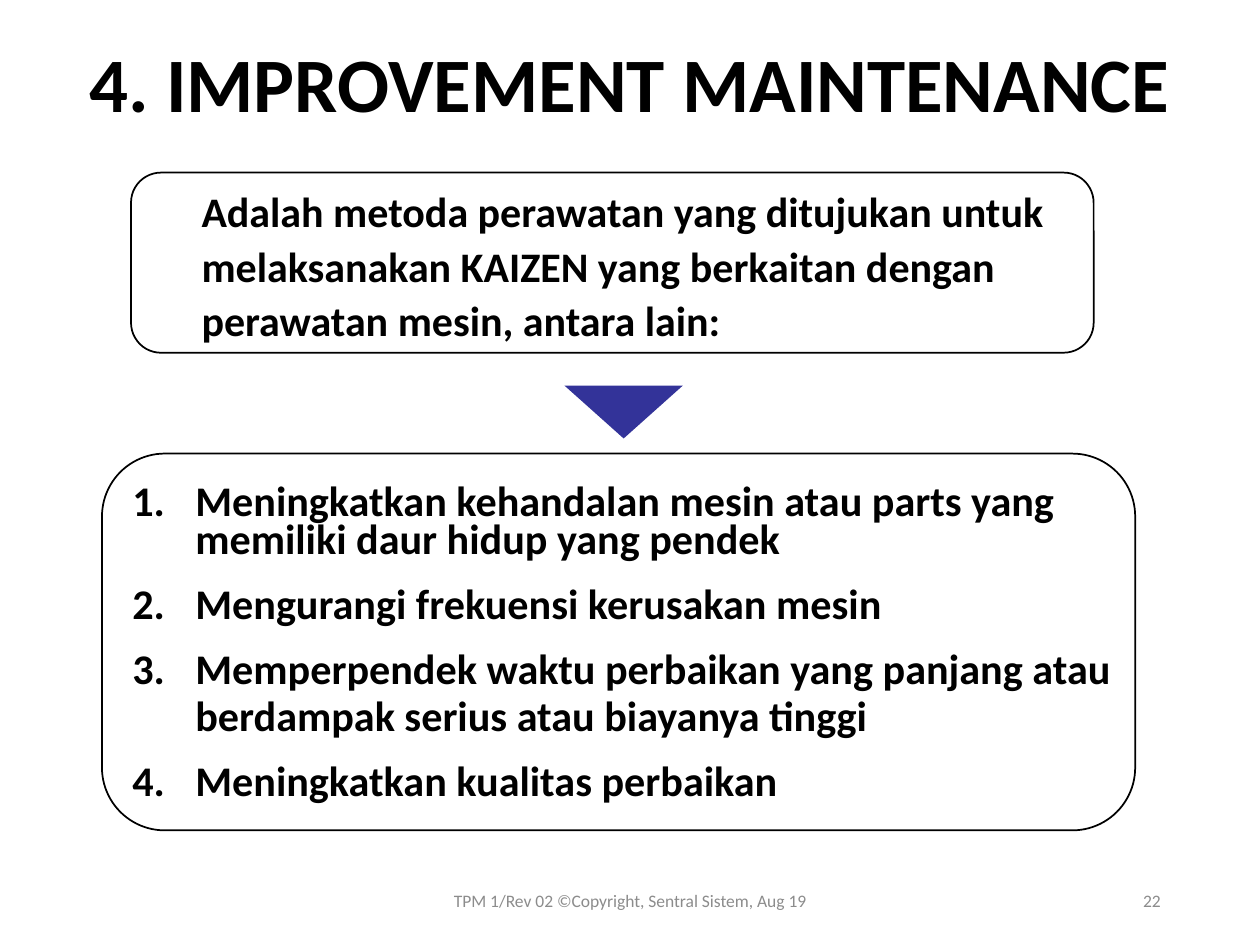
from lxml import etree
from pptx import Presentation
from pptx.dml.color import RGBColor
from pptx.enum.shapes import MSO_SHAPE
from pptx.enum.text import MSO_ANCHOR, MSO_AUTO_SIZE, PP_ALIGN
from pptx.oxml.ns import qn
from pptx.util import Inches, Pt

BLACK = RGBColor(0x00, 0x00, 0x00)
GRAY = RGBColor(0x8C, 0x8C, 0x8C)
NAVY = RGBColor(0x33, 0x33, 0x99)
FONT = "Calibri"
ROUNDED = MSO_SHAPE.ROUNDED_RECTANGLE
TOP, MIDDLE = MSO_ANCHOR.TOP, MSO_ANCHOR.MIDDLE
LEFT, CENTER, RIGHT = PP_ALIGN.LEFT, PP_ALIGN.CENTER, PP_ALIGN.RIGHT
NO_AUTOFIT = MSO_AUTO_SIZE.NONE
TITLE_ONLY = 5

DEFINITION = [
    ("Adalah metoda perawatan yang ditujukan untuk", 22),
    ("melaksanakan KAIZEN yang berkaitan dengan", 31),
    ("perawatan mesin, antara lain:", 31),
]
IMPROVEMENTS = [
    ("Meningkatkan kehandalan mesin atau parts yang memiliki daur hidup yang pendek", 22),
    ("Mengurangi frekuensi kerusakan mesin", 27),
    ("Memperpendek waktu perbaikan yang panjang atau berdampak serius atau biayanya tinggi", 27),
    ("Meningkatkan kualitas perbaikan", 27),
]


class SlideBuilder:
    def __init__(self, slide):
        self.slide = slide

    def frame(self, shape, anchor):
        text_frame = shape.text_frame
        text_frame.word_wrap = True
        text_frame.auto_size = NO_AUTOFIT
        text_frame.vertical_anchor = anchor
        text_frame.margin_left = text_frame.margin_right = 0
        text_frame.margin_top = 0
        text_frame.margin_bottom = Inches(0.05)
        return text_frame

    def add_text(self, paragraph, text, size, color=BLACK, bold=True, align=LEFT, spacing=None):
        paragraph.alignment = align
        if spacing:
            paragraph.line_spacing = Pt(spacing)
        run = paragraph.add_run()
        run.text = text
        run.font.name = FONT
        run.font.size = Pt(size)
        run.font.bold = bold
        run.font.color.rgb = color

    def number(self, paragraph):
        properties = paragraph._p.get_or_add_pPr()
        properties.set("marL", str(Inches(0.5)))
        properties.set("indent", str(Inches(-0.5)))
        etree.SubElement(properties, qn("a:buFont"), typeface="+mj-lt")
        etree.SubElement(properties, qn("a:buAutoNum"), type="arabicPeriod")

    def title(self, text, left, top, width, height):
        shape = self.slide.shapes.title
        shape.left, shape.top = Inches(left), Inches(top)
        shape.width, shape.height = Inches(width), Inches(height)
        text_frame = self.frame(shape, TOP)
        self.add_text(text_frame.paragraphs[0], text, 44, align=CENTER, spacing=30)

    def text_box(self, left, top, width, height):
        return self.slide.shapes.add_textbox(
            Inches(left), Inches(top), Inches(width), Inches(height))

    def paragraphs(self, lines, left, top, width, height, size=24, numbered=False, gap=0):
        text_frame = self.frame(self.text_box(left, top, width, height), TOP)
        for index, (text, spacing) in enumerate(lines):
            paragraph = text_frame.add_paragraph() if index else text_frame.paragraphs[0]
            if numbered:
                self.number(paragraph)
            if index and gap:
                paragraph.space_before = Pt(gap)
            self.add_text(paragraph, text, size, spacing=spacing)

    def footer(self, text, left, width, align):
        text_frame = self.text_box(left, 6.95, width, 0.4).text_frame
        text_frame.word_wrap = True
        text_frame.vertical_anchor = MIDDLE
        self.add_text(text_frame.paragraphs[0], text, 10, GRAY, False, align)

    def rounded_box(self, left, top, width, height):
        shape = self.slide.shapes.add_shape(
            ROUNDED, Inches(left), Inches(top), Inches(width), Inches(height))
        shape.shadow.inherit = False
        shape.fill.background()
        shape.line.color.rgb = BLACK
        shape.line.width = Pt(1)

    def down_triangle(self, left, top, width, height):
        builder = self.slide.shapes.build_freeform(Inches(left), Inches(top))
        builder.add_line_segments([
            (Inches(left + width), Inches(top)),
            (Inches(left + width / 2), Inches(top + height)),
        ], close=True)
        shape = builder.convert_to_shape()
        shape.shadow.inherit = False
        shape.fill.solid()
        shape.fill.fore_color.rgb = NAVY
        shape.line.fill.background()


def main():
    presentation = Presentation()
    presentation.slide_width = Inches(10)
    presentation.slide_height = Inches(7.5)
    slide = presentation.slides.add_slide(presentation.slide_layouts[TITLE_ONLY])
    builder = SlideBuilder(slide)

    builder.title("4. IMPROVEMENT MAINTENANCE", 0.4, 0.6, 9.2, 0.53)
    builder.down_triangle(4.48, 3.06, 0.94, 0.42)
    builder.rounded_box(1.04, 1.37, 7.64, 1.43)
    builder.rounded_box(0.81, 3.6, 8.2, 2.99)
    builder.paragraphs(DEFINITION, 1.6, 1.57, 7.64, 1.23)
    builder.paragraphs(IMPROVEMENTS, 1.05, 3.86, 7.81, 2.66, 24.1, numbered=True, gap=10)
    builder.footer("TPM 1/Rev 02 ©Copyright, Sentral Sistem, Aug 19", 3.31, 3.38, CENTER)
    builder.footer("22", 7.06, 2.25, RIGHT)

    presentation.save("out.pptx")


if __name__ == "__main__":
    main()
